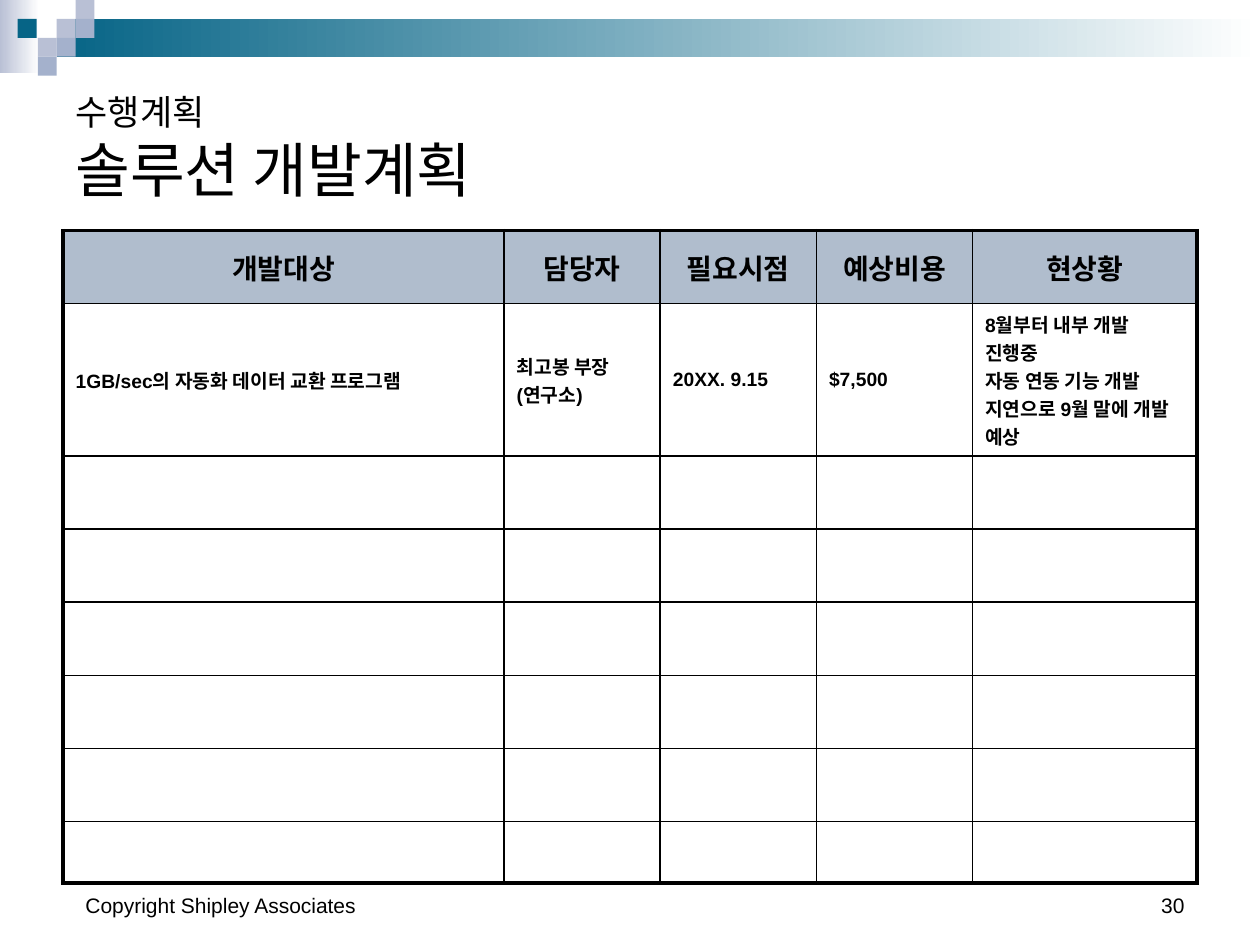
import pptx
import pptx.util
import pptx.dml.color
import pptx.enum.shapes
import pptx.enum.text
import pptx.oxml
import pptx.oxml.ns

Inches, Pt = pptx.util.Inches, pptx.util.Pt
ALIGN, ANCHOR = pptx.enum.text.PP_ALIGN, pptx.enum.text.MSO_ANCHOR

COLORS = {
    "text": "000000", "white": "FFFFFF", "header": "B0BDCD",
    "teal": "066486", "lilac": "B9C0D5", "blue": "A4B1CC",
}
FONT = "Arial"

TITLE = [("수행계획", 20), ("솔루션 개발계획", 34)]
HEADERS = ["개발대상", "담당자", "필요시점", "예상비용", "현상황"]
PLAN = [
    "1GB/sec의 자동화 데이터 교환 프로그램",
    "최고봉 부장\v(연구소)",
    "20XX. 9.15",
    "$7,500",
    "8월부터 내부 개발 진행중\n자동 연동 기능 개발 지연으로 9월 말에 개발 예상",
]
EMPTY_ROWS = 6
COL_WIDTHS = [3.5, 1.24, 1.24, 1.24, 1.78]
ROW_HEIGHTS = [0.58, 1.21] + [0.58] * (EMPTY_ROWS - 1) + [0.49]
THIN, THICK = 1, 2.25

# left, top, width, height, start colour of the fade to white
BANDS = [(0, 0, 0.31, 0.58, "lilac"), (0.45, 0.15, 9.55, 0.3, "teal")]
SQUARE = 0.15
# left, top, colour
SQUARES = [
    (0.45, 0.15, "lilac"), (0.6, 0, "lilac"), (0.6, 0.15, "blue"),
    (0.3, 0.3, "lilac"), (0.14, 0.15, "teal"), (0.45, 0.3, "blue"),
    (0.3, 0.45, "blue"),
]
# text, left, width, alignment
FOOTERS = [
    ("30", 7.17, 2.33, ALIGN.RIGHT),
    ("Copyright Shipley Associates", 0.58, 3.17, ALIGN.LEFT),
]


def rgb(name):
    return pptx.dml.color.RGBColor.from_string(COLORS[name])


def style(r, size, bold=False):
    r.font.name, r.font.size, r.font.bold = FONT, Pt(size), bold
    r.font.color.rgb = rgb("text")


def add_rect(s, left, top, width, height):
    sp = s.shapes.add_shape(pptx.enum.shapes.MSO_SHAPE.RECTANGLE,
                            Inches(left), Inches(top), Inches(width), Inches(height))
    sp.shadow.inherit = False
    sp.line.fill.background()
    return sp


def add_decoration(s):
    for *box, color in BANDS:
        fill = add_rect(s, *box).fill
        fill.gradient()
        fill.gradient_angle = 0
        for stop, name in zip(fill.gradient_stops, (color, "white")):
            stop.color.rgb = rgb(name)
    for left, top, color in SQUARES:
        fill = add_rect(s, left, top, SQUARE, SQUARE).fill
        fill.solid()
        fill.fore_color.rgb = rgb(color)


def add_footers(s):
    for text, left, width, align in FOOTERS:
        tf = s.shapes.add_textbox(Inches(left), Inches(6.83), Inches(width), Inches(0.5)).text_frame
        tf.word_wrap = True
        tf.vertical_anchor = ANCHOR.BOTTOM
        p = tf.paragraphs[0]
        p.text, p.alignment = text, align
        style(p.runs[0], 12)


def fill_title(s):
    sp = s.shapes.title
    sp.left, sp.top, sp.width, sp.height = Inches(0.5), Inches(0.5), Inches(9), Inches(1.17)
    tf = sp.text_frame
    tf.auto_size = pptx.enum.text.MSO_AUTO_SIZE.NONE
    tf.vertical_anchor = ANCHOR.BOTTOM
    p = tf.paragraphs[0]
    p.text = "\v".join(text for text, _ in TITLE)
    p.alignment = ALIGN.LEFT
    for r, (_, size) in zip(p.runs, TITLE):
        style(r, size)


def set_borders(cell, widths):
    """Draw the cell's sides; they must come before its fill in the XML."""
    tc_pr = cell._tc.get_or_add_tcPr()
    for i, (side, width) in enumerate(widths.items()):
        tc_pr.insert(i, pptx.oxml.parse_xml(
            f'<a:ln{side} {pptx.oxml.ns.nsdecls("a")} w="{Pt(width)}"><a:solidFill>'
            f'<a:srgbClr val="{COLORS["text"]}"/></a:solidFill></a:ln{side}>'))


def add_plan_table(s):
    rows = [HEADERS, PLAN] + [[""] * len(HEADERS)] * EMPTY_ROWS
    last_row, last_col = len(rows) - 1, len(HEADERS) - 1
    table = s.shapes.add_table(len(rows), len(HEADERS), Inches(0.5), Inches(1.83),
                               Inches(sum(COL_WIDTHS)), Inches(sum(ROW_HEIGHTS))).table
    for col, width in zip(table.columns, COL_WIDTHS):
        col.width = Inches(width)
    for row, height in zip(table.rows, ROW_HEIGHTS):
        row.height = Inches(height)
    for i, row in enumerate(rows):
        for j, text in enumerate(row):
            cell = table.cell(i, j)
            cell.vertical_anchor = ANCHOR.MIDDLE
            cell.fill.solid()
            cell.fill.fore_color.rgb = rgb("white" if i else "header")
            set_borders(cell, {
                "L": THIN if j else THICK,
                "R": THICK if j == last_col else THIN,
                "T": THIN if i else THICK,
                "B": THICK if i == last_row else THIN,
            })
            cell.text_frame.text = text
            for p in cell.text_frame.paragraphs:
                p.alignment = ALIGN.LEFT if i else ALIGN.CENTER
                for r in p.runs:
                    style(r, 11 if i else 16, bold=True)


def main():
    prs = pptx.Presentation()
    prs.slide_width, prs.slide_height = Inches(10), Inches(7.5)
    s = prs.slides.add_slide(prs.slide_layouts[5])
    add_decoration(s)
    add_footers(s)
    fill_title(s)
    add_plan_table(s)
    prs.save("out.pptx")


if __name__ == "__main__":
    main()
